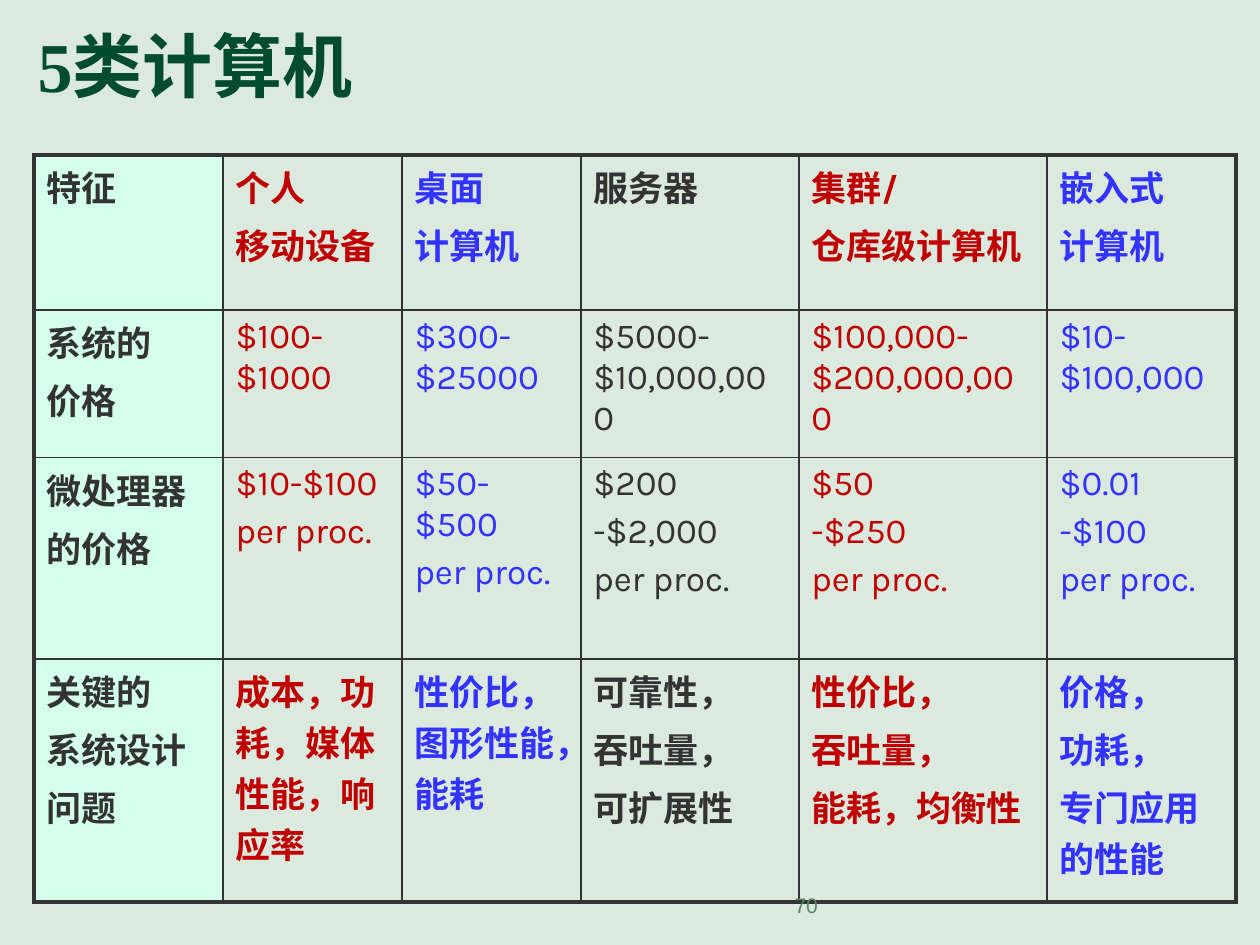
import pptx
import pptx.util
import pptx.dml.color
import pptx.enum.text
import pptx.oxml.ns
from lxml import etree

Inches, Pt = pptx.util.Inches, pptx.util.Pt
Align, Anchor = pptx.enum.text.PP_ALIGN, pptx.enum.text.MSO_ANCHOR
qn = pptx.oxml.ns.qn

COLORS = {
    "background": "DCE9DF",
    "title": "004C2B",
    "number": "578963",
    "dark": "333333",
    "red": "C00000",
    "blue": "3333FF",
    "header": "D4FFEC",
}

# Each cell is a list of paragraphs
ROWS = [
    [["特征"], ["个人", "移动设备"], ["桌面", "计算机"], ["服务器"],
     ["集群/", "仓库级计算机"], ["嵌入式", "计算机"]],
    [["系统的", "价格"], ["$100-$1000"], ["$300-$25000"], ["$5000-$10,000,000"],
     ["$100,000-$200,000,000"], ["$10-$100,000"]],
    [["微处理器", "的价格"], ["$10-$100", "per proc."], ["$50-$500", "per proc."],
     ["$200", "-$2,000", "per proc."], ["$50", "-$250", "per proc."],
     ["$0.01", "-$100", "per proc."]],
    [["关键的", "系统设计", "问题"], ["成本，功耗，媒体性能，响应率"],
     ["性价比，图形性能，能耗"], ["可靠性，", "吞吐量，", "可扩展性"],
     ["性价比，", "吞吐量，", "能耗，均衡性"], ["价格，", "功耗，", "专门应用的性能"]],
]
COLUMN_COLORS = ["dark", "red", "blue", "dark", "red", "blue"]
COLUMN_WIDTHS = [1.5, 1.42, 1.42, 1.73, 1.97, 1.5]
ROW_HEIGHTS = [1.23, 1.17, 1.6, 1.93]
BOLD_ROWS = (0, 3)


def rgb(name):
    return pptx.dml.color.RGBColor.from_string(COLORS[name])


class SlideBuilder:
    font = "Karla"
    size = 20
    inner_line = 1
    outer_line = 2.25

    def __init__(self, slide):
        self.slide = slide
        fill = slide.background.fill
        fill.solid()
        fill.fore_color.rgb = rgb("background")

    def paragraphs(self, tf, lines, color, size, font, bold=False, align=Align.LEFT):
        for i, line in enumerate(lines):
            p = tf.add_paragraph() if i else tf.paragraphs[0]
            p.alignment = align
            if i:
                p.space_before = Pt(size * 0.2)
            r = p.add_run()
            r.text = line
            r.font.name, r.font.size, r.font.bold = font, Pt(size), bold
            r.font.color.rgb = rgb(color)

    def text(self, box, line, color, size, font, anchor, **style):
        sp = self.slide.shapes.add_textbox(*map(Inches, box))
        tf = sp.text_frame
        tf.word_wrap = True
        tf.vertical_anchor = anchor
        self.paragraphs(tf, [line], color, size, font, **style)

    def border(self, cell, side, width):
        tc_pr = cell._tc.get_or_add_tcPr()
        ln = etree.SubElement(tc_pr, qn("a:ln" + side), w=str(Pt(width)))
        fill = etree.SubElement(ln, qn("a:solidFill"))
        etree.SubElement(fill, qn("a:srgbClr"), val=COLORS["dark"])

    def table(self, left, top, rows, widths, heights):
        table = self.slide.shapes.add_table(
            len(rows), len(widths), Inches(left), Inches(top),
            Inches(sum(widths)), Inches(sum(heights))).table
        table.first_row = table.horz_banding = False
        for column, width in zip(table.columns, widths):
            column.width = Inches(width)
        for row, height in zip(table.rows, heights):
            row.height = Inches(height)

        for i, row in enumerate(rows):
            for j, lines in enumerate(row):
                cell = table.cell(i, j)
                # Heavier lines on the outer edge; borders go before the fill
                outer = {"L": j == 0, "R": j == len(widths) - 1,
                         "T": i == 0, "B": i == len(rows) - 1}
                for side, is_outer in outer.items():
                    self.border(cell, side, self.outer_line if is_outer else self.inner_line)
                if j == 0:
                    cell.fill.solid()
                    cell.fill.fore_color.rgb = rgb("header")
                else:
                    cell.fill.background()
                self.paragraphs(cell.text_frame, lines, COLUMN_COLORS[j], self.size,
                                self.font, bold=j == 0 or i in BOLD_ROWS)


def main():
    prs = pptx.Presentation()
    prs.slide_width, prs.slide_height = Inches(10), Inches(7.5)
    s = SlideBuilder(prs.slides.add_slide(prs.slide_layouts[6]))

    # Title
    s.text((0.2, 0.05, 3.7, 0.93), "5类计算机", "title", 40, "Times New Roman",
           Anchor.MIDDLE, bold=True)

    # Comparison table
    s.table(0.27, 1.23, ROWS, COLUMN_WIDTHS, ROW_HEIGHTS)

    # Slide number
    s.text((3.42, 6.83, 3.17, 0.5), "70", "number", 12, "Arial",
           Anchor.BOTTOM, align=Align.RIGHT)

    prs.save("out.pptx")


if __name__ == "__main__":
    main()
